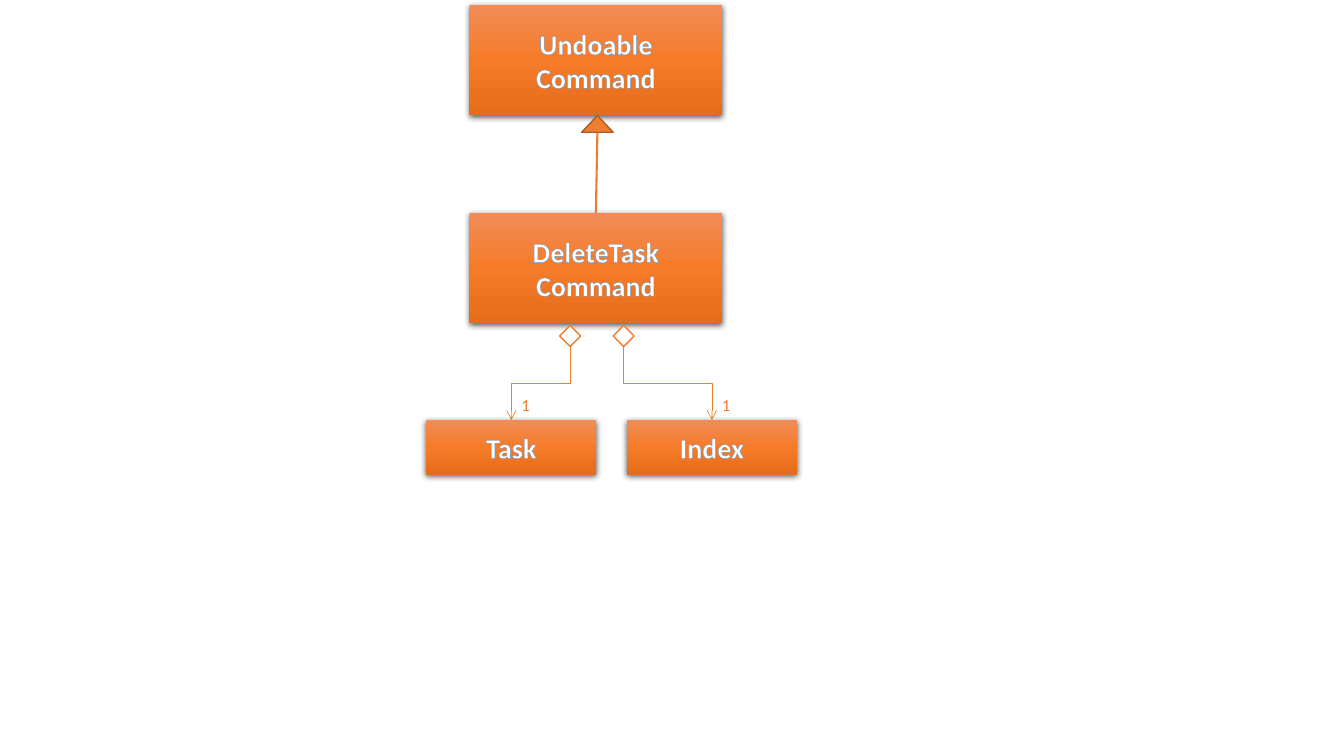
"""Build a class diagram of the delete-task command and its associations."""
from typing import NamedTuple

from lxml.etree import SubElement
from pptx import Presentation
from pptx.dml.color import RGBColor
from pptx.enum.shapes import MSO_CONNECTOR, MSO_SHAPE
from pptx.enum.text import MSO_ANCHOR, MSO_AUTO_SIZE, PP_ALIGN
from pptx.oxml.ns import qn
from pptx.shapes.autoshape import Shape
from pptx.shapes.connector import Connector
from pptx.slide import Slide
from pptx.util import Pt

PX = 9525
ORANGE = RGBColor(0xED, 0x7D, 0x31)
DARK_ORANGE = RGBColor(0xAF, 0x5C, 0x24)
WHITE = RGBColor(0xFF, 0xFF, 0xFF)
BLACK = RGBColor(0x00, 0x00, 0x00)
BLUE = RGBColor(0x5B, 0x9B, 0xD5)
GRADIENT = {
    0: RGBColor(0xF1, 0x8C, 0x57),
    50000: RGBColor(0xF6, 0x7B, 0x28),
    100000: RGBColor(0xE5, 0x6C, 0x19),
}
DOWNWARD = 5400000
DIAMOND_SIZE = 20
DIAMOND_TOP = 310
LABEL_SIZE = 29
CLASS_FONT = {"name": "Calibri", "size": Pt(20), "bold": True}
LABEL_FONT = {"name": "Calibri", "size": Pt(12)}


class ClassBox(NamedTuple):
    name: str
    left: int
    top: int
    width: int
    height: int


class Association(NamedTuple):
    diamond_left: int
    target: ClassBox
    multiplicity: str


PARENT = ClassBox("Undoable\nCommand", 447, 5, 241, 105)
COMMAND = ClassBox("DeleteTask\nCommand", 447, 203, 241, 105)
TASK = ClassBox("Task", 406, 400, 162, 52)
INDEX = ClassBox("Index", 597, 400, 162, 52)
ASSOCIATIONS = [Association(533, TASK, "1"), Association(584, INDEX, "1")]


def add_child(parent, tag: str, **attributes):
    """Append a drawing element with its attributes."""
    return SubElement(parent, qn(tag), {key: str(value) for key, value in attributes.items()})


def write_text(box: Shape, text: str, font: dict, colour: RGBColor) -> None:
    """Fill a shape with formatted paragraphs."""
    box.text_frame.text = text
    for para in box.text_frame.paragraphs:
        for span in para.runs:
            for key, value in font.items():
                setattr(span.font, key, value)
            span.font.color.rgb = colour


def draw_class(page: Slide, item: ClassBox) -> Shape:
    """Draw a shaded class box with outlined lettering."""
    place = [value * PX for value in item[1:]]
    box = page.shapes.add_shape(MSO_SHAPE.RECTANGLE, *place)
    box.line.fill.background()
    box.shadow.inherit = False
    properties = box._element.spPr

    gradient = add_child(properties, "a:gradFill", rotWithShape=1)
    stops = add_child(gradient, "a:gsLst")
    for position, colour in GRADIENT.items():
        add_child(add_child(stops, "a:gs", pos=position), "a:srgbClr", val=colour)
    add_child(gradient, "a:lin", ang=DOWNWARD, scaled=0)
    properties.find(qn("a:prstGeom")).addnext(gradient)

    shadow = add_child(properties.find(qn("a:effectLst")), "a:outerShdw",
                       blurRad=Pt(4.5), dist=Pt(1.5), dir=DOWNWARD, rotWithShape=0)
    add_child(add_child(shadow, "a:srgbClr", val=BLACK), "a:alpha", val=63000)

    write_text(box, item.name, CLASS_FONT, WHITE)
    box.text_frame.vertical_anchor = MSO_ANCHOR.MIDDLE
    for para in box.text_frame.paragraphs:
        para.alignment = PP_ALIGN.CENTER
        for span in para.runs:
            letters = span.font._element
            outline = add_child(letters, "a:ln", w=Pt(0.8))
            add_child(add_child(outline, "a:solidFill"), "a:srgbClr", val=BLUE)
            letters.insert(0, outline)
    return box


def draw_symbol(page: Slide, kind: MSO_SHAPE, place: tuple[int, int, int, int],
                fill: RGBColor, line: RGBColor) -> None:
    """Draw an outlined connector end symbol."""
    symbol = page.shapes.add_shape(kind, *(value * PX for value in place))
    symbol.shadow.inherit = False
    symbol.fill.solid()
    symbol.fill.fore_color.rgb = fill
    symbol.line.color.rgb = line
    symbol.line.width = Pt(1)


def draw_connector(page: Slide, kind: MSO_CONNECTOR, ends: tuple[int, int, int, int],
                   width: float) -> Connector:
    """Draw an orange connector without a shadow."""
    connector = page.shapes.add_connector(kind, *(value * PX for value in ends))
    connector.line.color.rgb = ORANGE
    connector.line.width = Pt(width)
    add_child(connector._element.spPr, "a:effectLst")
    return connector


def draw_association(page: Slide, item: Association) -> None:
    """Draw a diamond, a bent arrow to the target and its multiplicity."""
    diamond = (item.diamond_left, DIAMOND_TOP, DIAMOND_SIZE, DIAMOND_SIZE)
    draw_symbol(page, MSO_SHAPE.DIAMOND, diamond, WHITE, ORANGE)

    start_x = item.diamond_left + DIAMOND_SIZE // 2
    start_y = DIAMOND_TOP + DIAMOND_SIZE
    end_x = item.target.left + item.target.width // 2
    drop = item.target.top - start_y
    reach = abs(end_x - start_x)
    left = (start_x + end_x - drop) // 2
    top = (start_y + item.target.top - reach) // 2
    right, bottom = left + drop, top + reach
    goes_left = end_x < start_x
    ends = (left, top, right, bottom) if goes_left else (right, top, left, bottom)
    arrow = draw_connector(page, MSO_CONNECTOR.ELBOW, ends, 0.5)
    turn = DOWNWARD if goes_left else 3 * DOWNWARD
    arrow._element.spPr.xfrm.set("rot", str(turn))
    add_child(arrow.line._get_or_add_ln(), "a:tailEnd", type="arrow")

    place = (end_x, item.target.top - LABEL_SIZE, LABEL_SIZE, LABEL_SIZE)
    label = page.shapes.add_textbox(*(value * PX for value in place))
    label.text_frame.word_wrap = True
    label.text_frame.auto_size = MSO_AUTO_SIZE.SHAPE_TO_FIT_TEXT
    write_text(label, item.multiplicity, LABEL_FONT, ORANGE)


def main() -> None:
    """Assemble and save the slide."""
    deck = Presentation()
    deck.slide_width, deck.slide_height = 1280 * PX, 720 * PX
    page = deck.slides.add_slide(deck.slide_layouts[6])
    draw_class(page, PARENT)
    command = draw_class(page, COMMAND)
    inheritance = draw_connector(page, MSO_CONNECTOR.STRAIGHT, (568, 203, 569, 126), 1.5)
    inheritance.begin_connect(command, 0)
    draw_symbol(page, MSO_SHAPE.ISOSCELES_TRIANGLE, (554, 110, 30, 16), ORANGE, DARK_ORANGE)
    for item in ASSOCIATIONS:
        draw_association(page, item)
        draw_class(page, item.target)
    deck.save("out.pptx")


if __name__ == "__main__":
    main()
